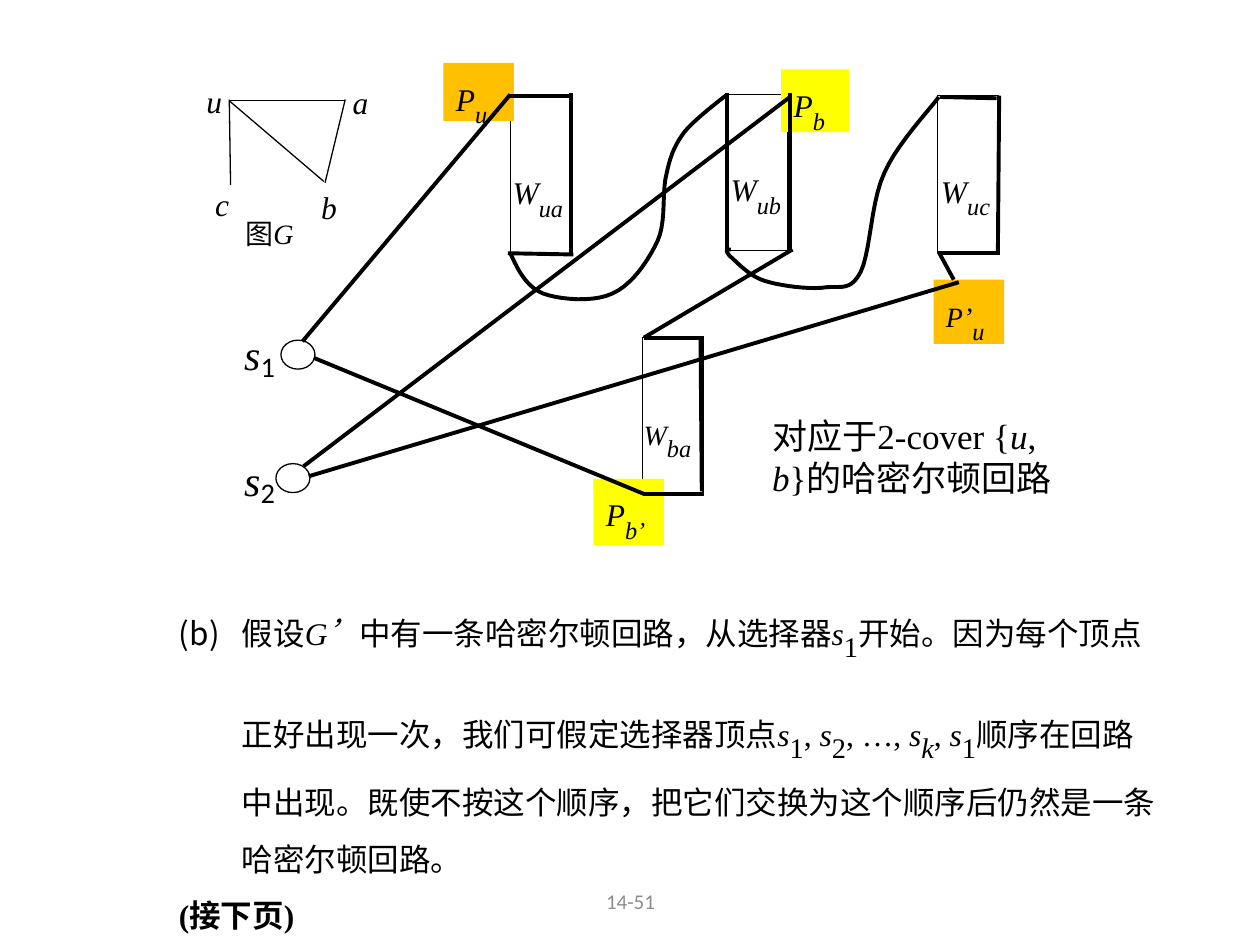
from lxml.etree import SubElement
from pptx import Presentation
from pptx.dml.color import RGBColor
from pptx.enum.shapes import MSO_CONNECTOR, MSO_SHAPE
from pptx.enum.text import MSO_ANCHOR, MSO_AUTO_SIZE, PP_ALIGN
from pptx.oxml.ns import qn
from pptx.util import Inches, Pt

COLORS = {"ink": "000000", "orange": "FFC000", "yellow": "FFFF00", "grey": "8C8C8C"}
SERIF, SANS = "Times New Roman", "Calibri"
THIN, THICK = 0.75, 2.25
TOWER_W, TOWER_H = 0.48, 1.24
CURVE_STEPS = 10

TOWERS = [
    ("ua", 4.05, 0.77, (3.97, 1.24), 18),
    ("ub", 5.77, 0.75, (5.70, 1.22), 18),
    ("uc", 7.44, 0.76, (7.37, 1.23), 18),
    ("ba", 5.10, 2.68, (5.01, 3.15), 16),
]
PATH_ENDS = [
    ("P", "u", (3.52, 0.50, 0.56, 0.46), "orange", 18),
    ("P’", "u", (7.41, 2.22, 0.56, 0.51), "orange", 16),
    ("P", "b", (6.20, 0.55, 0.54, 0.50), "yellow", 18),
    ("P", "b’", (4.71, 3.80, 0.56, 0.53), "yellow", 18),
]
SELECTORS = [("1", (2.23, 2.70), (1.84, 2.5)), ("2", (2.19, 3.68), (1.84, 3.5))]
VERTICES = [("u", 1.54, 0.60), ("a", 2.70, 0.61), ("b", 2.45, 1.44), ("c", 1.61, 1.42)]
GRAPH_EDGES = [
    (1.82, 0.80, 2.74, 0.80), (1.82, 0.80, 2.57, 1.44),
    (1.82, 0.79, 1.83, 1.47), (2.74, 0.79, 2.58, 1.45),
]
CIRCUIT_LINKS = [
    (6.29, 1.98, 5.11, 2.68), (7.45, 2.00, 7.57, 2.22),
    (2.40, 2.71, 4.05, 0.75), (2.49, 2.84, 5.11, 3.92),
    (2.45, 3.78, 7.61, 2.24), (2.41, 3.70, 6.27, 0.77),
]
TOWER_WALKS = [
    (4.04, 0.76, 4.53, 0.76), (4.53, 0.74, 4.53, 2.03), (4.03, 2.01, 4.55, 2.02),
    (5.77, 0.74, 5.77, 1.99), (6.27, 0.74, 6.27, 1.99),
    (7.46, 0.77, 7.91, 0.78), (7.93, 0.76, 7.92, 2.00), (7.46, 2.01, 7.94, 2.01),
    (5.11, 2.68, 5.59, 2.68), (5.56, 2.68, 5.57, 3.90), (5.10, 3.92, 5.59, 3.92),
]
TOWER_BRIDGES = [
    [(4.05, 2.01), (4.11, 2.14), (4.17, 2.27), (4.31, 2.33), (4.45, 2.38), (4.71, 2.40),
     (4.86, 2.33), (5.02, 2.26), (5.15, 2.06), (5.22, 1.91), (5.29, 1.75), (5.25, 1.53),
     (5.29, 1.38), (5.32, 1.24), (5.35, 1.16), (5.43, 1.05), (5.51, 0.95), (5.71, 0.80),
     (5.77, 0.75)],
    [(5.80, 1.98), (5.77, 1.98), (5.75, 1.98), (5.79, 2.03), (5.84, 2.07), (5.94, 2.19),
     (6.07, 2.23), (6.20, 2.27), (6.43, 2.30), (6.56, 2.28), (6.68, 2.27), (6.75, 2.31),
     (6.83, 2.16), (6.91, 2.00), (6.91, 1.60), (7.02, 1.37), (7.12, 1.14), (7.38, 0.87),
     (7.45, 0.77)],
]
CAPTION = [("对应于2-cover {", ""), ("u", "i"), (", ", ""), ("b", "i"), ("}的哈密尔顿回路", "")]
PROOF = [
    ("假设", ""), ("G’", "i"), ("中有一条哈密尔顿回路，从选择器", ""), ("s", "i"), ("1", "_"),
    ("开始。因为每个顶点正好出现一次，我们可假定选择器顶点", ""), ("s", "i"), ("1", "_"),
    (", ", ""), ("s", "i"), ("2", "_"), (", …, ", ""), ("s", "i"), ("k", "i_"),
    (", ", ""), ("s", "i"), ("1", "_"),
    ("顺序在回路中出现。既使不按这个顺序，把它们交换为这个顺序后仍然是一条哈密尔顿回路。", ""),
]


def color(name):
    return RGBColor.from_string(COLORS[name])


def write(paragraph, pieces, size, sub_size=24, sub_shift=-30, sub_font=SERIF):
    paragraph.font.name = SERIF
    paragraph.font.color.rgb = color("ink")
    for text, style in pieces:
        run = paragraph.add_run()
        run.text = text
        lowered = "_" in style
        run.font.size = Pt(sub_size if lowered else size)
        run.font.name = sub_font if lowered else SERIF
        run.font.color.rgb = color("ink")
        run.font.italic = "i" in style
        if lowered:
            run.font._element.set("baseline", str(sub_shift * 1000))


def add_label(slide, box, pieces, size, wrap=True, **subscript):
    label = slide.shapes.add_textbox(*map(Inches, box))
    label.text_frame.word_wrap = wrap
    write(label.text_frame.paragraphs[0], pieces, size, **subscript)
    return label


def add_outline(slide, preset, box, fill=None):
    outline = slide.shapes.add_shape(preset, *map(Inches, box))
    outline.shadow.inherit = False
    if fill:
        outline.fill.solid()
        outline.fill.fore_color.rgb = color(fill)
        outline.line.fill.background()
    else:
        outline.fill.background()
        outline.line.color.rgb = color("ink")
        outline.line.width = Pt(THIN)
    return outline


def add_lines(slide, segments, width):
    for segment in segments:
        line = slide.shapes.add_connector(MSO_CONNECTOR.STRAIGHT, *map(Inches, segment))
        line.line.color.rgb = color("ink")
        line.line.width = Pt(width)
        SubElement(line._element.spPr, qn("a:effectLst"))


def curve_points(controls):
    yield tuple(map(Inches, controls[0]))
    for first in range(0, len(controls) - 1, 3):
        p0, p1, p2, p3 = controls[first:first + 4]
        for step in range(1, CURVE_STEPS + 1):
            t = step / CURVE_STEPS
            weights = ((1 - t) ** 3, 3 * t * (1 - t) ** 2, 3 * t * t * (1 - t), t ** 3)
            yield tuple(Inches(sum(w * p[axis] for w, p in zip(weights, (p0, p1, p2, p3))))
                        for axis in (0, 1))


def add_bridge(slide, controls):
    start, *rest = curve_points(controls)
    builder = slide.shapes.build_freeform(*start)
    builder.add_line_segments(rest, close=False)
    bridge = builder.convert_to_shape()
    bridge.shadow.inherit = False
    bridge.fill.background()
    bridge.line.color.rgb = color("ink")
    bridge.line.width = Pt(THICK)


def set_bullet(paragraph, margin, tag, **attributes):
    properties = paragraph._p.get_or_add_pPr()
    properties.set("marL", str(Inches(margin)))
    properties.set("indent", str(-Inches(margin)))
    bullet = properties.makeelement(qn(tag), attributes)
    properties.insert_element_before(bullet, "a:tabLst", "a:defRPr", "a:extLst")


def add_diagram(slide):
    for name, left, top, label_at, size in TOWERS:
        add_label(slide, (*label_at, 0.74, 0.43), [("W", "i"), (name, "i_")], size)
        add_outline(slide, MSO_SHAPE.RECTANGLE, (left, top, TOWER_W, TOWER_H))
    for controls in TOWER_BRIDGES:
        add_bridge(slide, controls)
    add_lines(slide, GRAPH_EDGES, THIN)
    for name, left, top in VERTICES:
        add_label(slide, (left, top, 0.6, 0.31), [(name, "i")], 18)
    add_label(slide, (1.85, 1.67, 0.8, 0.34), [("图", ""), ("G", "i")], 16)
    for name, index, box, fill, size in PATH_ENDS:
        frame = add_outline(slide, MSO_SHAPE.RECTANGLE, box, fill).text_frame
        frame.vertical_anchor = MSO_ANCHOR.TOP
        frame.paragraphs[0].alignment = PP_ALIGN.LEFT
        write(frame.paragraphs[0], [(name, "i"), (index, "i_")], size)
    for index, circle_at, label_at in SELECTORS:
        add_outline(slide, MSO_SHAPE.OVAL, (*circle_at, 0.27, 0.23))
        add_label(slide, (*label_at, 0.47, 0.5), [("s", "i"), (index, "_")], 24,
                  wrap=False, sub_size=28, sub_shift=-15, sub_font=SANS)
    add_lines(slide, CIRCUIT_LINKS + TOWER_WALKS, THICK)
    add_label(slide, (6.03, 3.24, 2.55, 0.65), CAPTION, 20)


def add_proof(slide):
    body = slide.placeholders[1]
    body.left, body.top, body.width, body.height = map(Inches, (1.32, 4.42, 8.02, 2.35))
    frame = body.text_frame
    frame.auto_size = MSO_AUTO_SIZE.SHAPE_TO_FIT_TEXT
    proof, continued = frame.paragraphs[0], frame.add_paragraph()
    for paragraph in (proof, continued):
        paragraph.line_spacing = 1.5
        paragraph.space_before = Pt(0)
    write(proof, PROOF, 18, sub_size=28, sub_shift=-25)
    set_bullet(proof, 0.5, "a:buAutoNum", type="alphaLcParenBoth", startAt="2")
    write(continued, [("(接下页)", "")], 18)
    continued.runs[0].font.bold = True
    set_bullet(continued, 0, "a:buNone")


def add_page_number(slide):
    number = add_label(slide, (3.42, 6.95, 3.17, 0.4), [("14-51", "")], 12)
    number.text_frame.vertical_anchor = MSO_ANCHOR.MIDDLE
    paragraph = number.text_frame.paragraphs[0]
    paragraph.alignment = PP_ALIGN.CENTER
    for font in (paragraph.font, paragraph.runs[0].font):
        font.name = SANS
        font.color.rgb = color("grey")


def main():
    deck = Presentation()
    deck.slide_width, deck.slide_height = Inches(10), Inches(7.5)
    slide = deck.slides.add_slide(deck.slide_layouts[1])
    title = slide.shapes.title._element
    title.getparent().remove(title)
    add_page_number(slide)
    add_diagram(slide)
    add_proof(slide)
    deck.save("out.pptx")


if __name__ == "__main__":
    main()
